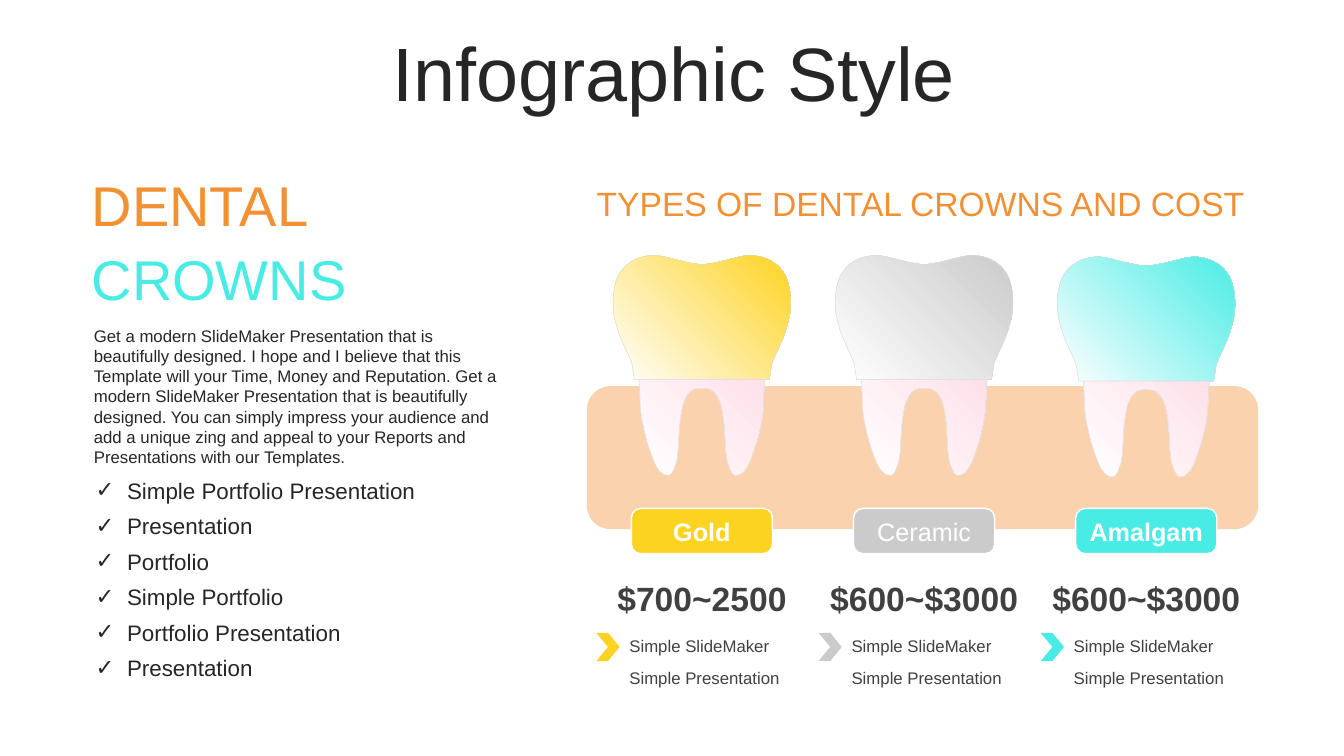
from lxml import etree
from pptx import Presentation
from pptx.dml.color import RGBColor
from pptx.enum.shapes import MSO_SHAPE as Preset
from pptx.enum.text import MSO_ANCHOR as Anchor, PP_ALIGN as Align
from pptx.oxml.ns import qn
from pptx.util import Pt

WHITE = RGBColor(0xFF, 0xFF, 0xFF)
INK = RGBColor(0x26, 0x26, 0x26)
GREY = RGBColor(0x40, 0x40, 0x40)
ORANGE = RGBColor(0xF2, 0x90, 0x34)
AQUA = RGBColor(0x49, 0xEC, 0xE5)
GOLD = RGBColor(0xFD, 0xD3, 0x21)
SILVER = RGBColor(0xCB, 0xCB, 0xCB)
GUM = RGBColor(0xFA, 0xD3, 0xAE)
ROOT = RGBColor(0xFE, 0xE1, 0xEA)
OUTLINE = RGBColor(0xD9, 0xD9, 0xD9)

FONT = "Arial"
FIRST_CENTER = 501.4
COLUMN_PITCH = 158.7
BULLET_PITCH = 25.35

CROWN_HALF = [
    [(0, 6.5)],
    [(5.4, 5.8), (10.4, 5), (15.8, 3.6)],
    [(22.7, 2.2), (29.2, -0.7), (37.1, 0)],
    [(45, 0.7), (53, 4.3), (58, 11.5)],
    [(61.6, 16.6), (63, 23.8), (63.4, 30.2)],
    [(63.7, 37.4), (63, 44), (60.8, 50.4)],
    [(60.8, 50.4), (59.8, 54), (59.8, 54)],
    [(57.2, 62), (53, 69), (50, 77)],
    [(48.2, 88.6)],
]
ROOT_HALF = [
    [(45, 88.6)],
    [(44.3, 97.9)],
    [(44.3, 106.6), (43.6, 115.2), (41.6, 123.1)],
    [(40, 131.8), (37, 140.4), (33.8, 148.3)],
    [(32, 152), (29, 157), (24.8, 157)],
    [(24.8, 157), (23.4, 157), (23.4, 157)],
    [(20.9, 157), (19, 149), (18.2, 147.6)],
    [(16.9, 141.8), (16.9, 135.4), (16.4, 128.9)],
    [(16.2, 122.4), (15.5, 116), (14.2, 109.4)],
    [(13.3, 104.4), (11, 98.6), (6.5, 95.8)],
    [(4.7, 95), (2.5, 94.5), (0, 94.7)],
]
CROWNS = [
    ("Gold", True, GOLD, "$700~2500", 182.6),
    ("Ceramic", False, SILVER, "$600~$3000", 182.6),
    ("Amalgam", True, AQUA, "$600~$3000", 183.6),
]
BULLETS = ["Simple Portfolio Presentation", "Presentation", "Portfolio",
           "Simple Portfolio", "Portfolio Presentation", "Presentation"]
INTRO = ("Get a modern SlideMaker Presentation that is beautifully designed. "
         "I hope and I believe that this Template will your Time, Money and Reputation. "
         "Get a modern SlideMaker Presentation that is beautifully designed. "
         "You can simply impress your audience and add a unique zing and appeal "
         "to your Reports and Presentations with our Templates.")


def write(para, text, size, color, bold=False):
    span = para.add_run()
    span.text = text
    span.font.name = FONT
    span.font.size = Pt(size)
    span.font.bold = bold
    span.font.color.rgb = color


def add_text(page, frame, text, size, color, align=Align.LEFT, anchor=Anchor.TOP,
             bold=False, inset=7.2, spacing=None):
    box = page.shapes.add_textbox(*map(Pt, frame)).text_frame
    box.word_wrap = True
    box.vertical_anchor = anchor
    box.margin_left = box.margin_right = Pt(inset)
    para = box.paragraphs[0]
    para.alignment = align
    para.line_spacing = spacing
    write(para, text, size, color, bold)
    return para


def add_bullet(page, top, text):
    para = add_text(page, (61.2, top, 258.5, 23), text, 16, INK, spacing=0.8)
    props = para._p.get_or_add_pPr()
    props.set("marL", str(Pt(22.5)))
    props.set("indent", str(Pt(-22.5)))
    etree.SubElement(props, qn("a:buFont"), typeface=FONT)
    etree.SubElement(props, qn("a:buChar"), char="✓")


def add_solid(page, preset, frame, color):
    shape = page.shapes.add_shape(preset, *map(Pt, frame))
    shape.shadow.inherit = False
    shape.fill.solid()
    shape.fill.fore_color.rgb = color
    shape.line.fill.background()
    return shape


def add_label(page, center, text, bold, color):
    label = add_solid(page, Preset.ROUNDED_RECTANGLE, (center - 50.4, 363.1, 100.8, 32.4), color)
    label.adjustments[0] = 0.21
    label.line.color.rgb = WHITE
    label.line.width = Pt(1)
    box = label.text_frame
    box.vertical_anchor = Anchor.MIDDLE
    box.paragraphs[0].alignment = Align.CENTER
    write(box.paragraphs[0], text, 18, WHITE, bold)


def mirror_half(half):
    segments = half[1:]
    tip_x, tip_y = half[-1][-1]
    if tip_x:
        segments = segments + [[(-tip_x, tip_y)]]
    for previous, segment in reversed(list(zip(half, half[1:]))):
        route = segment[-2::-1] if len(segment) > 1 else []
        segments = segments + [[(-x, y) for x, y in [*route, previous[-1]]]]
    return segments


def bend_lines(part, segments):
    lines = iter(list(part._element.iter(qn("a:lnTo"))))
    for segment in segments:
        group = [next(lines) for _ in segment]
        if len(group) == 1:
            continue
        curve = etree.Element(qn("a:cubicBezTo"))
        group[0].addprevious(curve)
        for line in group:
            curve.append(line[0])
            line.getparent().remove(line)


def add_tooth_part(page, center, top, half, color):
    segments = mirror_half(half)
    start, *corners = [(Pt(center + x), Pt(top + y))
                       for segment in [half[0], *segments] for x, y in segment]
    builder = page.shapes.build_freeform(*start)
    builder.add_line_segments(corners, close=True)
    part = builder.convert_to_shape()
    bend_lines(part, segments)
    part.shadow.inherit = False
    part.fill.gradient()
    part.fill.gradient_angle = 45
    for stop, shade in zip(part.fill.gradient_stops, (WHITE, color)):
        stop.color.rgb = shade
    part.line.color.rgb = OUTLINE
    part.line.width = Pt(0.32)


def add_crown_column(page, center, name, bold, color, price, top):
    add_tooth_part(page, center, top, CROWN_HALF, color)
    add_tooth_part(page, center, top, ROOT_HALF, ROOT)
    add_label(page, center, name, bold, color)
    add_text(page, (center - 75.6, 416.2, 151.2, 22.3), price, 24, GREY,
             Align.CENTER, Anchor.MIDDLE, bold=True)
    add_solid(page, Preset.CHEVRON, (center - 75.4, 452, 16.6, 20.2), color)
    for row, text in enumerate(("Simple SlideMaker", "Simple Presentation")):
        add_text(page, (center - 58.9, 450.7 + 22.5 * row, 134.6, 21.6), text, 12, GREY)


def main():
    deck = Presentation()
    deck.slide_width, deck.slide_height = Pt(960), Pt(540)
    page = deck.slides.add_slide(deck.slide_layouts[6])
    add_text(page, (25.6, 26.6, 911.5, 56.9), "Infographic Style", 54, INK,
             Align.CENTER, Anchor.MIDDLE, spacing=0.9)
    add_text(page, (58.4, 120.4, 239, 50.4), "DENTAL", 40, ORANGE,
             Align.JUSTIFY, Anchor.MIDDLE)
    add_text(page, (58.4, 171.4, 239, 55.4), "CROWNS", 40, AQUA, Align.JUSTIFY)
    add_text(page, (58.4, 229, 312, 94.3), INTRO, 12, INK, inset=8.64)
    for row, text in enumerate(BULLETS):
        add_bullet(page, 340.8 + BULLET_PITCH * row, text)
    add_text(page, (419.2, 127.1, 479.5, 36), "TYPES OF DENTAL CROWNS AND COST", 24, ORANGE)
    add_solid(page, Preset.ROUNDED_RECTANGLE, (419.2, 275.8, 479.5, 102.2), GUM)
    for column, crown in enumerate(CROWNS):
        add_crown_column(page, FIRST_CENTER + COLUMN_PITCH * column, *crown)
    deck.save("out.pptx")


if __name__ == "__main__":
    main()
